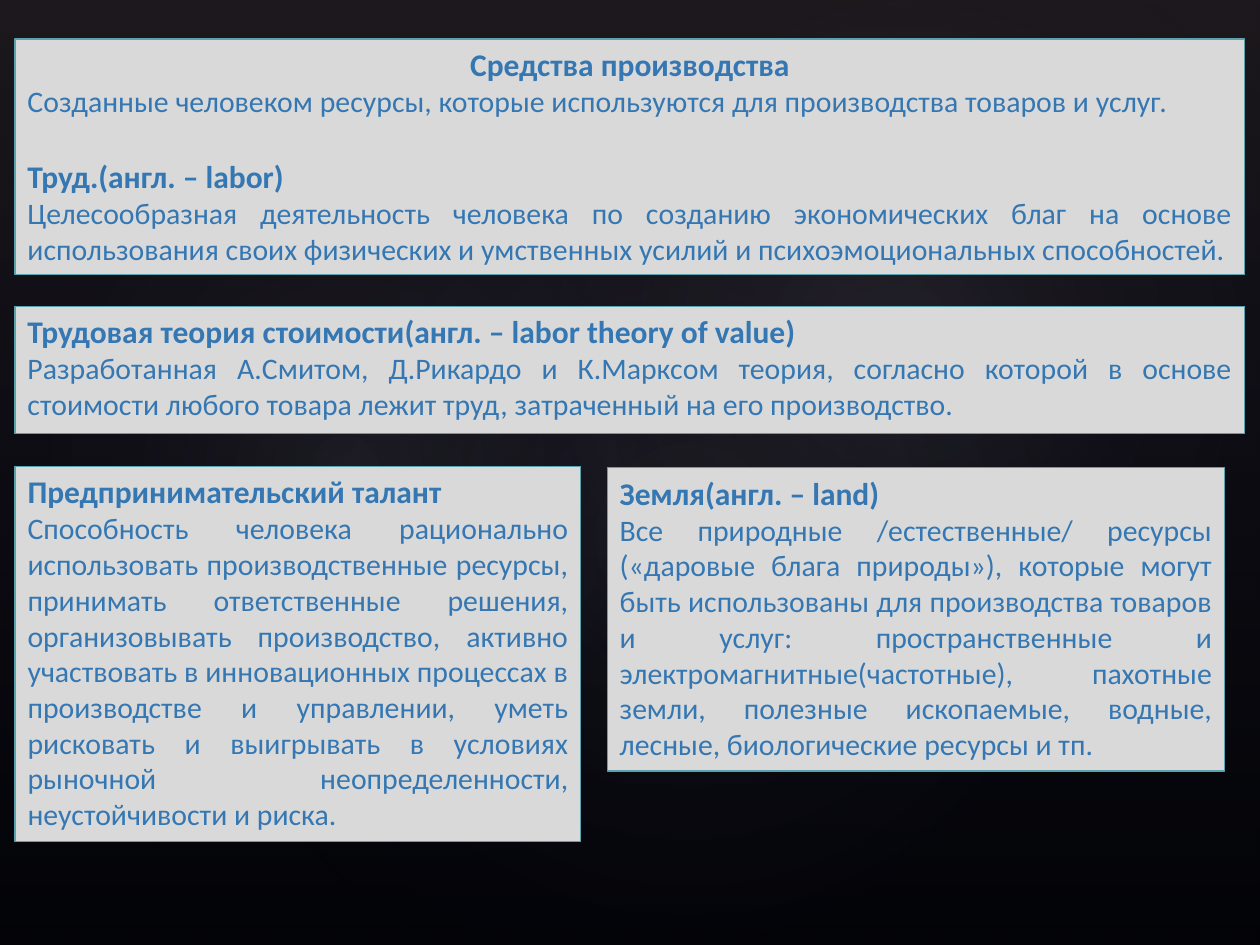
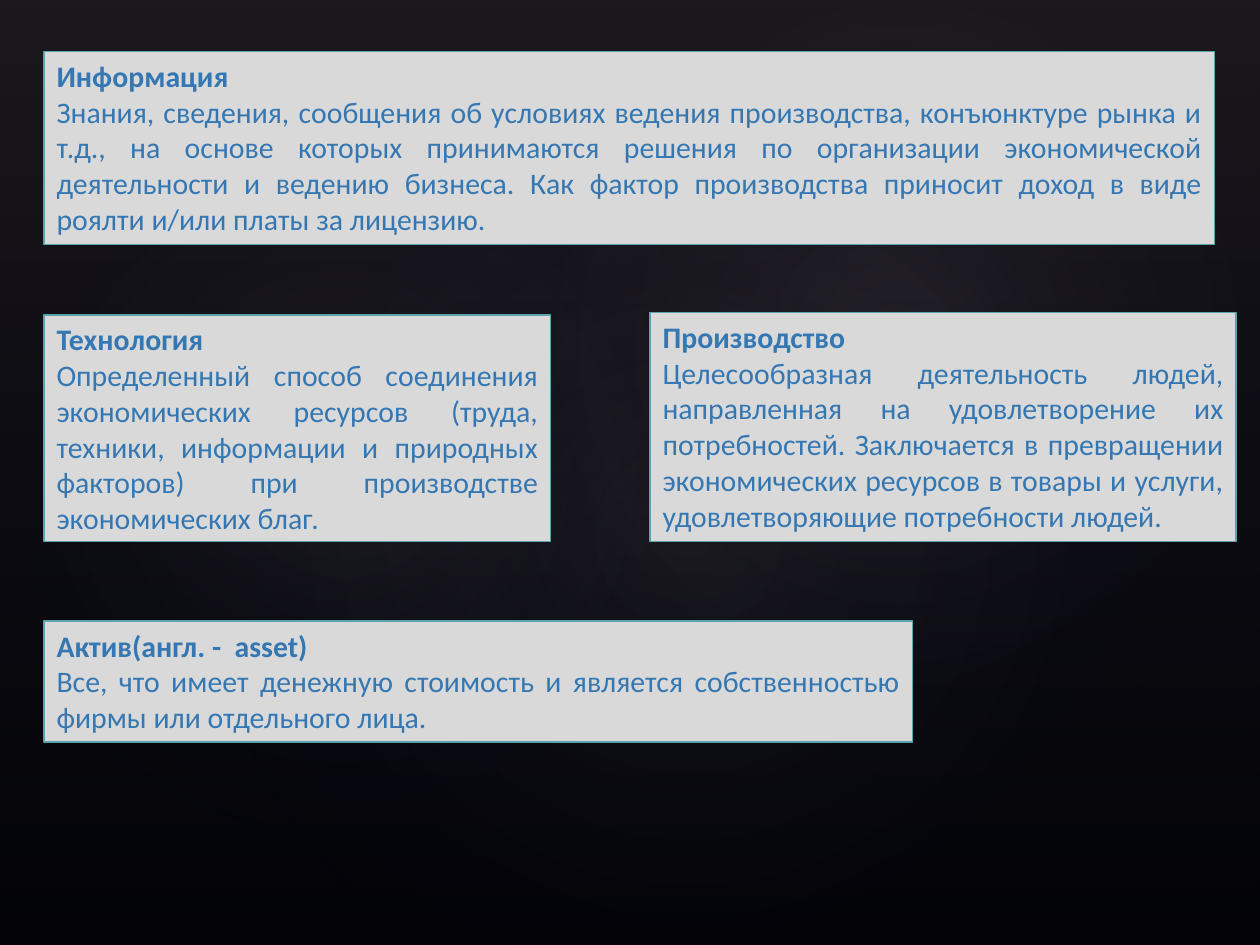
from dataclasses import dataclass

from lxml.etree import SubElement
from pptx import Presentation
from pptx.dml.color import RGBColor
from pptx.enum.shapes import MSO_SHAPE
from pptx.enum.text import MSO_AUTO_SIZE, MSO_VERTICAL_ANCHOR, PP_ALIGN
from pptx.oxml.ns import qn
from pptx.util import Inches, Pt


@dataclass(frozen=True)
class Theme:
    """Colours and type sizes shared by the slides."""

    font: str = "Calibri"
    text: str = "3477B2"
    panel: str = "D9D9D9"
    border: str = "5AA2AE"
    background: str = "000000"
    haze: str = "504652"
    glow: str = "C4BCC6"
    night: str = "242852"
    heading_large: int = 18
    body: int = 17
    border_width: float = 0.75
    entry_gap: int = 22


THEME = Theme()
SLIDE_SIZE = (10, 7.5)

GLOWS = [
    ((1.5, 1.14, 7.92, 6.24), 328.7, 7),
    ((-0.3, 1.28, 6.06, 4.9), 294.3, 8),
    ((3.58, 0.13, 7.09, 5.2), 328.7, 8),
]

RESOURCE_PANELS = [
    ((0.12, 0.31, 9.76, 1.87), [
        ("Средства производства",
         "Созданные человеком ресурсы, которые используются для производства товаров и услуг."),
        ("Труд.(англ. – labor)",
         "Целесообразная деятельность человека по созданию экономических благ на основе "
         "использования своих физических и умственных усилий и психоэмоциональных способностей."),
    ]),
    ((0.12, 2.43, 9.76, 1.01), [
        ("Трудовая теория стоимости(англ. – labor theory of value)",
         "Разработанная А.Смитом, Д.Рикардо и К.Марксом теория, согласно которой в основе "
         "стоимости любого товара лежит труд, затраченный на его производство."),
    ]),
    ((0.12, 3.7, 4.49, 2.98), [
        ("Предпринимательский талант",
         "Способность человека рационально использовать производственные ресурсы, принимать "
         "ответственные решения, организовывать производство, активно участвовать в "
         "инновационных процессах в производстве и управлении, уметь рисковать и выигрывать "
         "в условиях рыночной неопределенности, неустойчивости и риска."),
    ]),
    ((4.82, 3.71, 4.9, 2.41), [
        ("Земля(англ. – land)",
         "Все природные /естественные/ ресурсы («даровые блага природы»), которые могут быть "
         "использованы для производства товаров и услуг: пространственные и "
         "электромагнитные(частотные), пахотные земли, полезные ископаемые, водные, лесные, "
         "биологические ресурсы и тп."),
    ]),
]

CONCEPT_PANELS = [
    ((0.35, 0.41, 9.29, 1.53), [
        ("Информация",
         "Знания, сведения, сообщения об условиях ведения производства, конъюнктуре рынка и "
         "т.д., на основе которых принимаются решения по организации экономической "
         "деятельности и ведению бизнеса. Как фактор производства приносит доход в виде "
         "роялти и/или платы за лицензию."),
    ]),
    ((0.35, 4.93, 6.89, 0.96), [
        ("Актив(англ. -  asset)",
         "Все, что имеет денежную стоимость и является собственностью фирмы или отдельного лица."),
    ]),
    ((5.16, 2.48, 4.65, 1.82), [
        ("Производство",
         "Целесообразная деятельность людей, направленная на удовлетворение их потребностей. "
         "Заключается в превращении экономических ресурсов в товары и услуги, удовлетворяющие "
         "потребности людей."),
    ]),
    ((0.35, 2.5, 4.02, 1.8), [
        ("Технология",
         "Определенный способ соединения экономических ресурсов (труда, техники, информации и "
         "природных факторов) при производстве экономических благ."),
    ]),
]


def set_attributes(target, values):
    """Apply a dict of format values to an object."""
    for name, value in values.items():
        setattr(target, name, value)


def add_gradient(shape, stops, radial):
    """Fill a shape with translucent (position, colour, opacity) stops."""
    gradient = SubElement(shape.element.spPr, qn("a:gradFill"), rotWithShape="1")
    stop_list = SubElement(gradient, qn("a:gsLst"))
    for position, colour, opacity in stops:
        stop = SubElement(stop_list, qn("a:gs"), pos=str(position * 1000))
        color = SubElement(stop, qn("a:srgbClr"), val=colour)
        SubElement(color, qn("a:alpha"), val=str(opacity * 1000))
    if radial:
        center = SubElement(gradient, qn("a:path"), path="circle")
        SubElement(center, qn("a:fillToRect"), l="50000", t="50000", r="50000", b="50000")
    else:
        SubElement(gradient, qn("a:lin"), ang="5400000", scaled="0")


def add_backdrop_shape(slide, kind, box, stops, rotation=0):
    """Draw one borderless gradient layer of the backdrop."""
    shape = slide.shapes.add_shape(kind, *map(Inches, box))
    add_gradient(shape, stops, radial=kind == MSO_SHAPE.OVAL)
    shape.line.fill.background()
    shape.shadow.inherit = False
    shape.rotation = rotation
    return shape


def move_to_master(master, shapes):
    """Place shapes behind the placeholders of the slide master."""
    for index, shape in enumerate(shapes):
        shape.element.nvSpPr.cNvPr.set("id", str(100 + index))
        master.shapes.element.insert(2 + index, shape.element)


def build_backdrop(presentation, slide):
    """Give the master its black background, haze and glows."""
    master = presentation.slide_master
    master.background.fill.solid()
    master.background.fill.fore_color.rgb = RGBColor.from_string(THEME.background)
    haze_stops = [(0, THEME.haze, 36), (100, THEME.night, 10)]
    layers = [add_backdrop_shape(slide, MSO_SHAPE.RECTANGLE, (0, 0, *SLIDE_SIZE), haze_stops)]
    for box, rotation, opacity in GLOWS:
        stops = [(0, THEME.glow, opacity), (58, THEME.night, 0)]
        layers.append(add_backdrop_shape(slide, MSO_SHAPE.OVAL, box, stops, rotation))
    move_to_master(master, layers)


def write_paragraph(paragraph, text, size, bold, alignment, space_before=0):
    """Write one formatted paragraph."""
    set_attributes(paragraph, {"alignment": alignment, "space_before": Pt(space_before)})
    run = paragraph.add_run()
    run.text = text
    set_attributes(run.font, {"name": THEME.font, "size": Pt(size), "bold": bold})
    run.font.color.rgb = RGBColor.from_string(THEME.text)


def add_panel(slide, box, entries, heading_size):
    """Draw a bordered panel of headings and definitions in the given box."""
    panel = slide.shapes.add_textbox(*map(Inches, box))
    panel.fill.solid()
    panel.fill.fore_color.rgb = RGBColor.from_string(THEME.panel)
    panel.line.color.rgb = RGBColor.from_string(THEME.border)
    panel.line.width = Pt(THEME.border_width)
    frame = panel.text_frame
    set_attributes(frame, {
        "word_wrap": True,
        "auto_size": MSO_AUTO_SIZE.SHAPE_TO_FIT_TEXT,
        "vertical_anchor": MSO_VERTICAL_ANCHOR.TOP,
    })
    for index, (heading, definition) in enumerate(entries):
        leads_group = index == 0 and len(entries) > 1
        alignment = PP_ALIGN.CENTER if leads_group else PP_ALIGN.LEFT
        paragraph = frame.add_paragraph() if index else frame.paragraphs[0]
        gap = THEME.entry_gap if index else 0
        write_paragraph(paragraph, heading, heading_size, True, alignment, gap)
        write_paragraph(frame.add_paragraph(), definition, THEME.body, False, PP_ALIGN.JUSTIFY)


def fill_definition_slide(slide, panels, heading_size):
    """Fill a slide with definition panels."""
    for box, entries in panels:
        add_panel(slide, box, entries, heading_size)


def main():
    """Build and save the presentation."""
    presentation = Presentation()
    presentation.slide_width, presentation.slide_height = map(Inches, SLIDE_SIZE)
    blank_layout = presentation.slide_layouts[6]
    resources = presentation.slides.add_slide(blank_layout)
    concepts = presentation.slides.add_slide(blank_layout)
    build_backdrop(presentation, resources)
    fill_definition_slide(resources, RESOURCE_PANELS, THEME.heading_large)
    fill_definition_slide(concepts, CONCEPT_PANELS, THEME.body)
    presentation.save("out.pptx")


if __name__ == "__main__":
    main()
